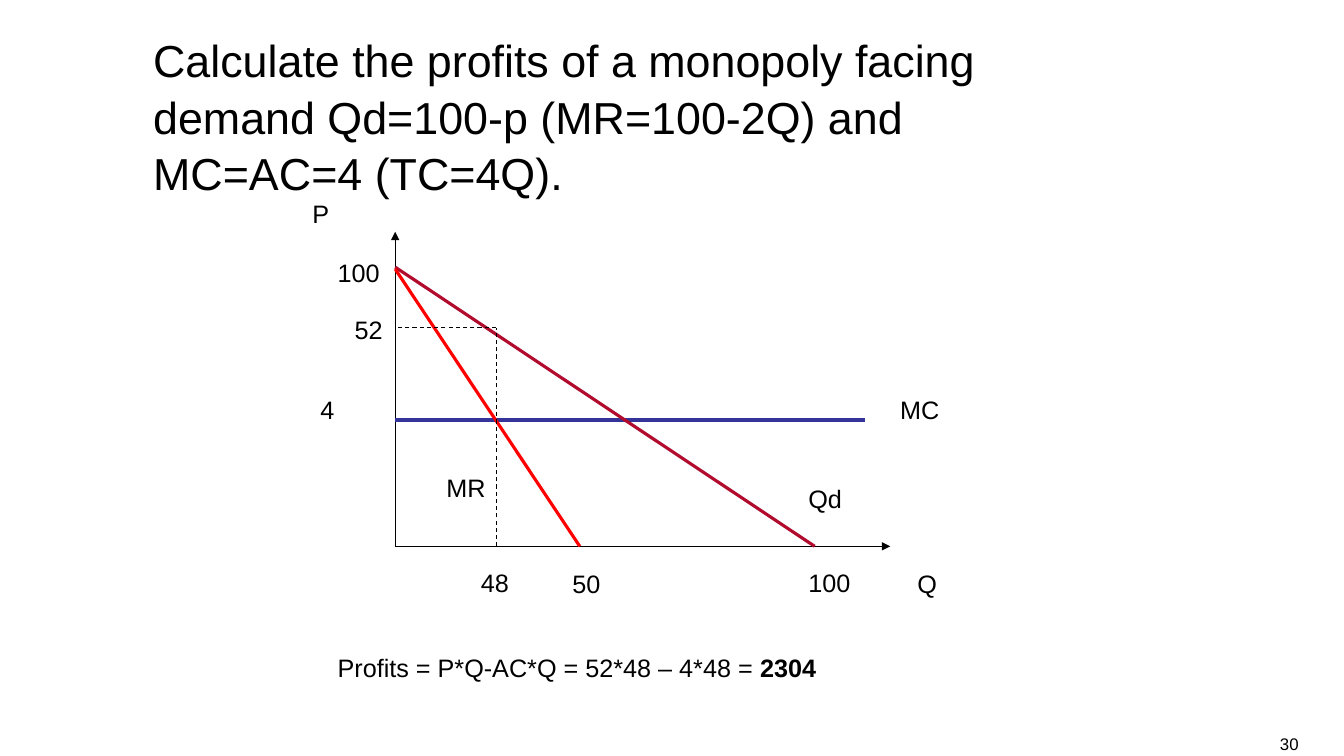
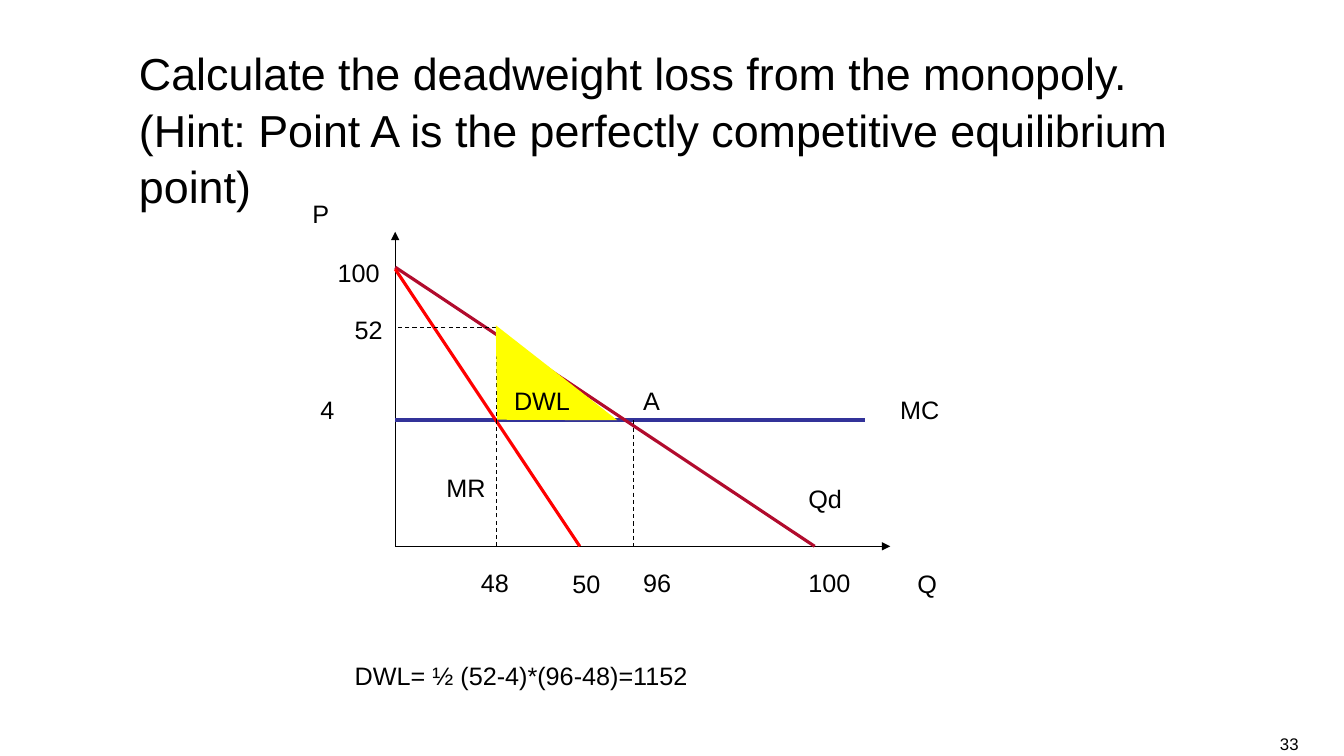
import pptx
import pptx.util
import pptx.dml.color
import pptx.enum.dml
import pptx.enum.shapes
import pptx.enum.text
import pptx.oxml
import pptx.oxml.ns
import lxml.etree

Inches = pptx.util.Inches
ALIGN = pptx.enum.text.PP_ALIGN
ANCHOR = pptx.enum.text.MSO_ANCHOR
FONT = "Arial"
BLACK, WHITE = "000000", "FFFFFF"
COST, DEMAND, REVENUE, LOSS = "333399", "B10B2D", "FF0000", "FFFF00"


def color(code):
    """Turn a hex string into a colour."""
    return pptx.dml.color.RGBColor.from_string(code)


def text(slide, words, box, size=18, strong="", align=ALIGN.LEFT,
         anchor=ANCHOR.TOP, space=1.0, right=0.1, fill=None, grow=True):
    """Place words, then an optional bold ending, in a box."""
    shape = slide.shapes.add_textbox(*map(Inches, box))
    if fill:
        shape.fill.solid()
        shape.fill.fore_color.rgb = color(fill)
    frame = shape.text_frame
    frame.word_wrap = True
    frame.vertical_anchor = anchor
    frame.margin_right = Inches(right)
    if grow:
        frame.auto_size = pptx.enum.text.MSO_AUTO_SIZE.SHAPE_TO_FIT_TEXT
    para = frame.paragraphs[0]
    para.alignment = align
    para.line_spacing = space
    for part, bold in ((words, False), (strong, True)):
        if part:
            run = para.add_run()
            run.text = part
            run.font.name = FONT
            run.font.size = pptx.util.Pt(size)
            run.font.bold = bold
            run.font.color.rgb = color(BLACK)


def line(slide, start, end, code=BLACK, width=0.75, dash=False, arrow=False):
    """Draw a straight line, optionally dashed or with an arrowhead."""
    link = slide.shapes.add_connector(
        pptx.enum.shapes.MSO_CONNECTOR.STRAIGHT, *map(Inches, start + end))
    link.line.color.rgb = color(code)
    link.line.width = pptx.util.Pt(width)
    if dash:
        link.line.dash_style = pptx.enum.dml.MSO_LINE.DASH
    if arrow:
        tip = lxml.etree.SubElement(
            link.line._get_or_add_ln(), pptx.oxml.ns.qn("a:tailEnd"))
        tip.set("type", "triangle")
    lxml.etree.SubElement(
        link._element.spPr, pptx.oxml.ns.qn("a:effectLst"))


def labels(slide, x, y, items):
    """Write labels at offsets from the origin of the graph."""
    for words, left, top, width in items:
        text(slide, words, (x + left, y + top, width, 0.4))


def graph(slide, x, y):
    """Draw the monopoly graph from its origin."""
    price, cost, output = y - 2.17, y - 1.25, x + 1
    line(slide, (x, y), (x, y - 3.12), arrow=True)
    line(slide, (x, y), (x + 4.91, y), arrow=True)
    line(slide, (x, cost), (x + 4.66, cost), COST, 3)
    line(slide, (x, y - 2.77), (x + 4.16, y), DEMAND, 2.25)
    line(slide, (x, y - 2.75), (x + 1.83, y), REVENUE, 2.25)
    line(slide, (output, y), (output, price), dash=True)
    line(slide, (output, price), (x, price), dash=True)
    labels(slide, x, y, (
        ("P", -0.92, -3.5, 0.67), ("100", -0.67, -2.92, 0.67),
        ("52", -0.5, -2.35, 0.5), ("4", -0.84, -1.56, 0.5),
        ("MC", 4.91, -1.56, 0.92), ("Qd", 4, -0.67, 0.67),
        ("MR", 0.41, -0.78, 0.67), ("48", 0.75, 0.16, 0.58),
        ("50", 1.66, 0.17, 0.5), ("100", 4, 0.16, 0.67),
        ("Q", 5.08, 0.17, 0.58)))


def loss(slide, x, y):
    """Add the deadweight loss and point A to the graph."""
    line(slide, (x + 2.36, y - 1.25), (x + 2.36, y), dash=True)
    area = slide.shapes.add_shape(
        pptx.enum.shapes.MSO_SHAPE.ISOSCELES_TRIANGLE,
        *map(Inches, (x + 0.61, y - 1.8, 1.53, 0.73)))
    area.adjustments[0] = 0.616
    area.rotation = 218
    area.shadow.inherit = False
    area.fill.solid()
    area.fill.fore_color.rgb = color(LOSS)
    area.line.fill.background()
    labels(slide, x, y, (
        ("A", 2.36, -1.65, 0.58), ("96", 2.36, 0.16, 0.58),
        ("DWL", 1.08, -1.65, 0.92)))


def page(deck, title, box, number):
    """Add a slide with its title, number and graph."""
    slide = deck.slides.add_slide(deck.slide_layouts[6])
    text(slide, number, (12.23, 7.25, 1.11, 0.25), size=12, fill=WHITE,
         align=ALIGN.RIGHT, anchor=ANCHOR.MIDDLE, right=0.46, grow=False)
    text(slide, title, box, size=32, space=1.05, grow=False)
    graph(slide, 3.92, 5.42)
    return slide


def main():
    """Build and save the deck."""
    deck = pptx.Presentation()
    deck.slide_width, deck.slide_height = Inches(13.33), Inches(7.5)
    profit = page(
        deck, "Calculate the profits of a monopoly facing demand Qd=100-p "
        "(MR=100-2Q) and MC=AC=4 (TC=4Q).", (1.42, 0.25, 9.75, 1.25), "30")
    text(profit, "Profits = P*Q-AC*Q = 52*48 – 4*48 = ",
         (3.25, 6.42, 5.58, 0.4), strong="2304")
    waste = page(
        deck, "Calculate the deadweight loss from the monopoly. "
        "(Hint: Point A is the perfectly competitive equilibrium point)",
        (1.28, 0.38, 10.77, 1.25), "33")
    loss(waste, 3.92, 5.42)
    text(waste, "DWL= ½ (52-4)*(96-48)=1152", (3.42, 6.5, 4, 0.4))
    deck.save("out.pptx")


if __name__ == "__main__":
    main()
